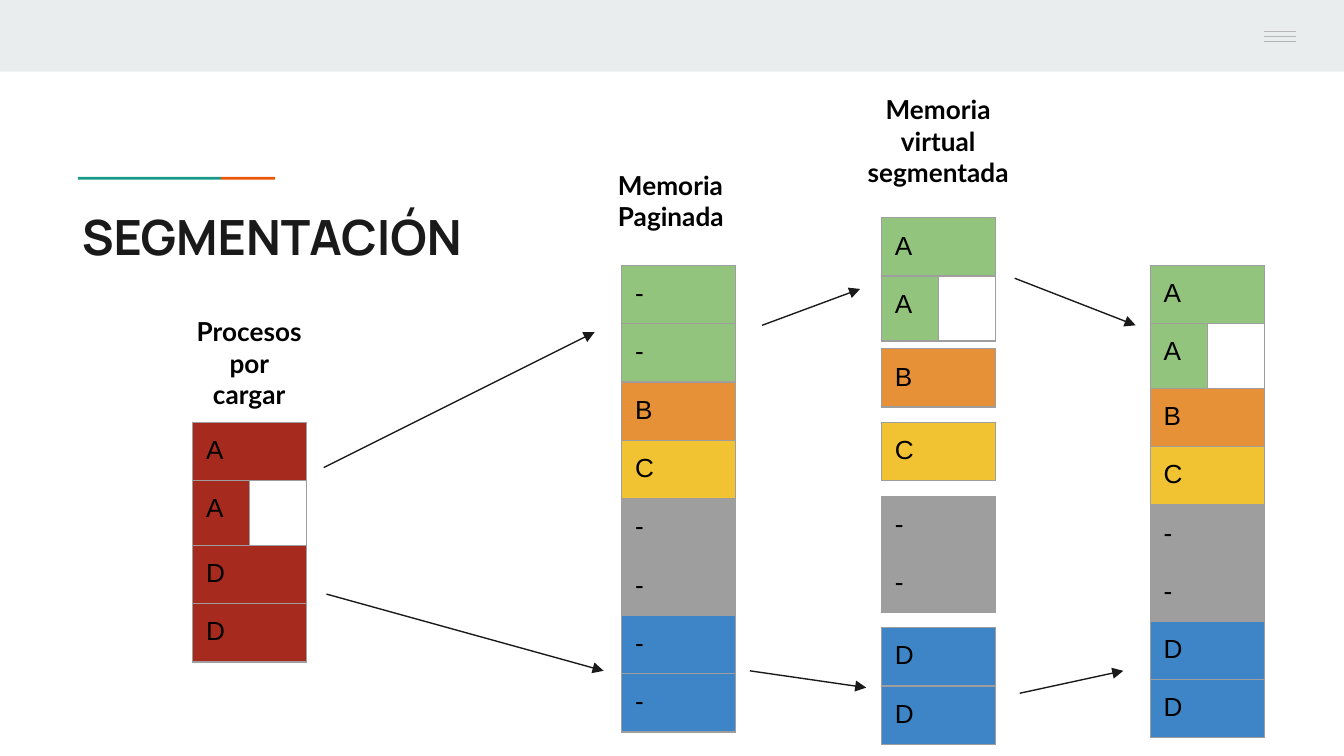
from dataclasses import dataclass

from lxml import etree
from pptx import Presentation
from pptx import util as u
from pptx.dml.color import RGBColor
from pptx.enum import shapes, text
from pptx.oxml import ns

PX = 3810  # EMU per px: 240 px to the inch


@dataclass(frozen=True)
class Theme:
    header: str = "E9EDEE"
    menu: str = "B7B7B7"
    teal: str = "1A9988"
    accent: str = "EB5600"
    ink: str = "1A1A1A"
    black: str = "000000"
    white: str = "FFFFFF"
    border: str = "9E9E9E"
    red: str = "A72A1E"
    green: str = "93C47D"
    orange: str = "E69138"
    yellow: str = "F1C232"
    gray: str = "9E9E9E"
    blue: str = "3D85C6"
    title_font: str = "Manrope"
    caption_font: str = "Lato"
    cell_font: str = "Arial"
    title_size: int = 26
    body_size: int = 14
    line_width: float = 0.75
    inset: int = 24
    half_column: int = 102
    row: int = 104
    half_row: int = 116
    table_frame: int = 787


T = Theme()
LEFT, CENTER = text.PP_ALIGN.LEFT, text.PP_ALIGN.CENTER


def px(*lengths):
    return [u.Emu(length * PX) for length in lengths]


def add_run(paragraph, words, font, size, color, bold=False):
    run = paragraph.add_run()
    run.text = words
    run.font.name, run.font.size, run.font.bold = font, u.Pt(size), bold
    run.font.color.rgb = RGBColor.from_string(color)


def set_insets(target):
    inset = u.Emu(T.inset * PX)
    target.margin_left = target.margin_right = inset
    target.margin_top = target.margin_bottom = inset


def add_bar(slide, box, color):
    bar = slide.shapes.add_shape(shapes.MSO_SHAPE.RECTANGLE, *px(*box))
    bar.shadow.inherit = False
    bar.fill.solid()
    bar.fill.fore_color.rgb = RGBColor.from_string(color)
    bar.line.fill.background()


def add_line(slide, ends, color, arrow=False):
    line = slide.shapes.add_connector(shapes.MSO_CONNECTOR.STRAIGHT, *px(*ends))
    line.line.width = u.Pt(T.line_width)
    line.line.color.rgb = RGBColor.from_string(color)
    if arrow:
        etree.SubElement(line.line._get_or_add_ln(), ns.qn("a:tailEnd"), type="triangle")
    etree.SubElement(line._element.spPr, ns.qn("a:effectLst"))


def add_header(slide, box):
    x, y, width, height = box
    add_bar(slide, box, T.header)
    # Menu panel and its icon
    add_bar(slide, (x + width - 226, y, 226, 120), T.header)
    for row in range(3):
        level = y + 56 + 9 * row
        add_line(slide, (x + width - 143, level, x + width - 86, level), T.menu)


def add_title(slide, box, words):
    x, y = box[:2]
    # Two-colour rule above the title
    add_bar(slide, (x + 17, y - 30, 256, 5), T.teal)
    add_bar(slide, (x + 273, y - 30, 96, 5), T.accent)
    title = slide.shapes.title
    title.left, title.top, title.width, title.height = px(*box)
    frame = title.text_frame
    frame.auto_size = text.MSO_AUTO_SIZE.NONE
    frame.vertical_anchor = text.MSO_ANCHOR.TOP
    set_insets(frame)
    paragraph = frame.paragraphs[0]
    paragraph.alignment = LEFT
    add_run(paragraph, words, T.title_font, T.title_size, T.ink, bold=True)


def add_caption(slide, box, lines, align):
    frame = slide.shapes.add_textbox(*px(*box)).text_frame
    frame.word_wrap = True
    set_insets(frame)
    for index, words in enumerate(lines):
        paragraph = frame.add_paragraph() if index else frame.paragraphs[0]
        paragraph.alignment = align
        add_run(paragraph, words, T.caption_font, T.body_size, T.black, bold=True)


def format_cell(cell, color):
    cell.fill.solid()
    cell.fill.fore_color.rgb = RGBColor.from_string(color)
    properties = cell._tc.get_or_add_tcPr()
    for index, side in enumerate(("lnL", "lnR", "lnT", "lnB")):
        edge = etree.Element(ns.qn(f"a:{side}"), w=str(u.Pt(T.line_width)))
        fill = etree.SubElement(edge, ns.qn("a:solidFill"))
        etree.SubElement(fill, ns.qn("a:srgbClr"), val=T.border)
        properties.insert(index, edge)


def add_memory(slide, left, top, blocks, columns=2, half=None):
    """Stack one row per (label, colour); row `half` leaves its right cell free."""
    box = px(left, top, T.table_frame, T.table_frame)
    frame = slide.shapes.add_table(len(blocks), columns, *box)
    table = frame.table
    table.first_row = table.horz_banding = False
    for column in table.columns:
        column.width = u.Emu(2 * T.half_column * PX // columns)
    for r, (label, color) in enumerate(blocks):
        table.rows[r].height = u.Emu((T.half_row if r == half else T.row) * PX)
        for c in range(columns):
            format_cell(table.cell(r, c), T.white if r == half and c else color)
        first, last = table.cell(r, 0), table.cell(r, columns - 1)
        if r == half:
            last.margin_top = last.margin_bottom = 0
        elif columns > 1:
            first.merge(last)
        set_insets(first)
        add_run(first.text_frame.paragraphs[0], label, T.cell_font, T.body_size, T.black)
    # Changing rows and columns resizes the frame, so its size is set last
    frame.width, frame.height = box[2:]


def build_segmentation(prs):
    slide = prs.slides.add_slide(prs.slide_layouts[5])
    add_header(slide, (0, 0, 2400, 128))
    add_title(slide, (122, 346, 2184, 142), "SEGMENTACIÓN")

    # Blocks shared by the memory columns
    a, b, c = [("A", T.green)] * 2, [("B", T.orange)], [("C", T.yellow)]
    free, d = [("-", T.gray)] * 2, [("D", T.blue)] * 2

    # Resulting memory
    add_memory(slide, 2054, 474, a + b + c + free + d, half=1)

    # Segmented virtual memory: one table per segment
    add_memory(slide, 1574, 389, a, half=1)
    for top, segment in ((623, b), (754, c), (886, free), (1121, d)):
        add_memory(slide, 1574, top, segment, columns=1)
    add_caption(slide, (1523, 143, 305, 218), ["Memoria", "virtual", "segmentada"], CENTER)

    # Paged memory
    pages = [("-", T.green)] * 2 + b + c + free + [("-", T.blue)] * 2
    add_memory(slide, 1110, 474, pages)
    add_caption(slide, (1080, 278, 240, 161), ["Memoria", "Paginada"], LEFT)

    # Processes waiting to be loaded
    add_memory(slide, 344, 754, [(name, T.red) for name in "AADD"], half=1)
    add_caption(slide, (325, 540, 240, 218), ["Procesos", "por cargar"], CENTER)

    # Arrows between the stages
    for ends in ((578, 835, 1062, 593), (583, 1061, 1078, 1198),
                 (1361, 581, 1536, 516), (1339, 1198, 1547, 1228),
                 (1812, 497, 2028, 581), (1821, 1238, 2006, 1198)):
        add_line(slide, ends, T.ink, arrow=True)


def main():
    prs = Presentation()
    prs.slide_width, prs.slide_height = px(2400, 1350)
    build_segmentation(prs)
    prs.save("out.pptx")


if __name__ == "__main__":
    main()
